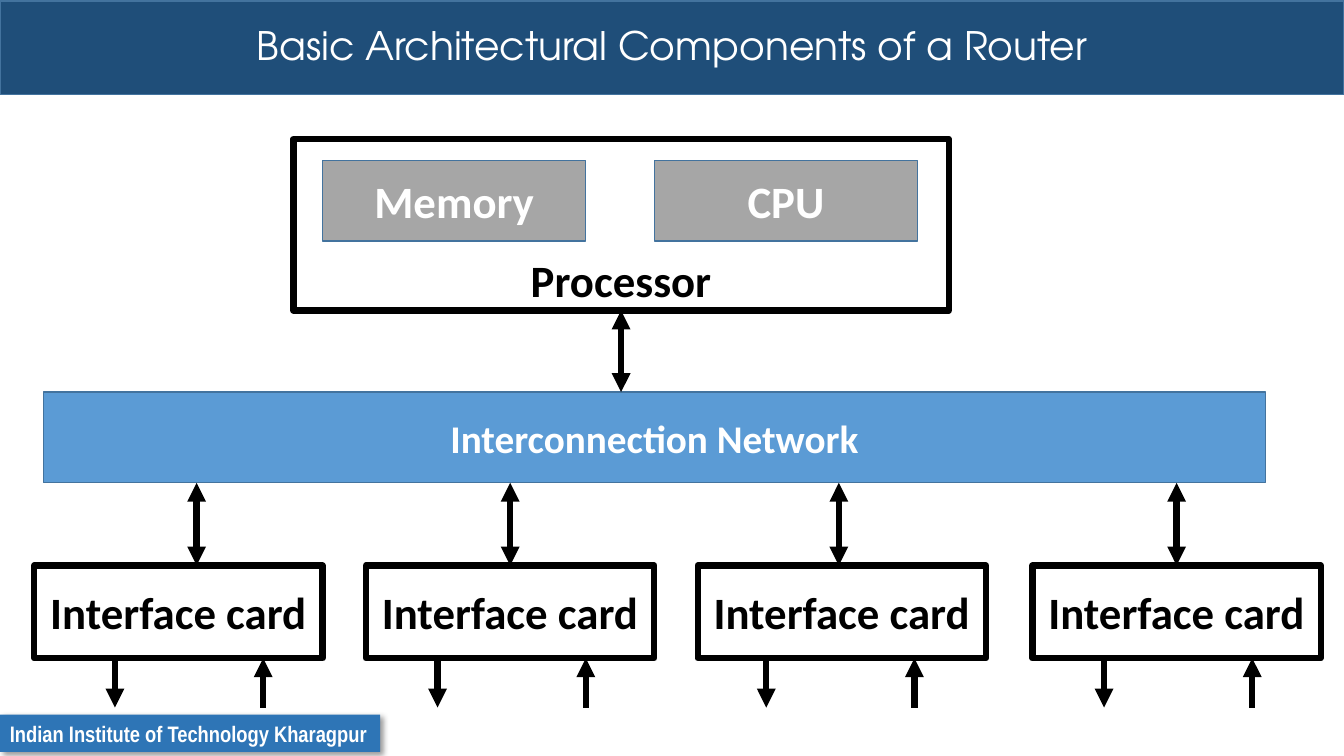
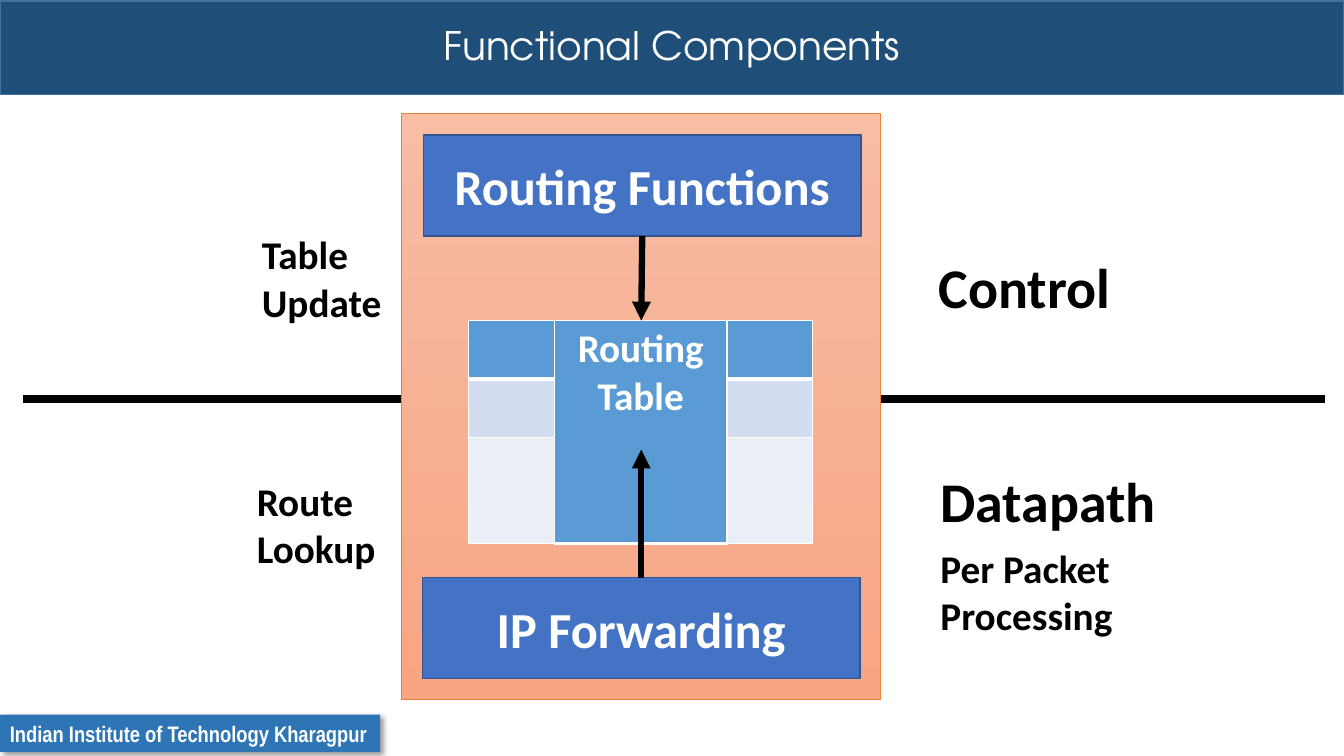
from dataclasses import dataclass
from typing import Optional

from lxml.etree import SubElement
from pptx import Presentation
from pptx.dml.color import RGBColor
from pptx.enum.shapes import MSO_CONNECTOR, MSO_SHAPE
from pptx.enum.text import MSO_ANCHOR, MSO_AUTO_SIZE, PP_ALIGN
from pptx.oxml.ns import qn
from pptx.util import Emu, Pt

SCALE = 9144  # EMU in one px, 100 px to the inch
WIDE, HIGH = 1333, 750


@dataclass(frozen=True)
class Theme:
    white: str = "FFFFFF"
    black: str = "000000"
    band: str = "1F4E79"
    edge: str = "43739E"
    foot: str = "2E75B6"
    grey: str = "A6A6A6"
    blue: str = "5B9BD5"
    pale: str = "D2DEEF"
    faint: str = "EAEFF7"
    deep: str = "4472C4"
    rim: str = "325491"
    warm: tuple = ("F7BDA5", "F8A582")
    orange: str = "ED7D31"
    body: str = "Calibri"
    head: str = "TeX Gyre Adventor"
    thin: str = "Arial Narrow"
    small: int = 16
    mid: int = 28
    large: int = 32
    huge: int = 36
    giant: int = 40
    bold: float = 4.5


T = Theme()


@dataclass(frozen=True)
class Type:
    size: int
    color: str = T.white
    name: str = T.body
    bold: bool = True
    align: PP_ALIGN = PP_ALIGN.CENTER
    space: Optional[float] = None


@dataclass(frozen=True)
class Box:
    x: int
    y: int
    w: int
    h: int
    fill: Optional[str] = None
    edge: Optional[str] = None
    weight: float = 1
    text: str = ""
    type: Optional[Type] = None


@dataclass(frozen=True)
class Label:
    x: int
    y: int
    w: int
    h: int
    text: str
    size: int
    wrap: bool = False


@dataclass(frozen=True)
class Card:
    x: int
    link: int
    out: int


def px(n: int) -> Emu:
    return Emu(n * SCALE)


def rgb(code: str) -> RGBColor:
    return RGBColor.from_string(code)


def write(frame, text: str, kind: Type) -> None:
    """Put the text in the frame, one paragraph a line."""
    frame.text = text
    form = {"size": Pt(kind.size), "name": kind.name, "bold": kind.bold}
    for para in frame.paragraphs:
        para.alignment = kind.align
        if kind.space:
            para.line_spacing = kind.space
        for run in para.runs:
            for key, value in form.items():
                setattr(run.font, key, value)
            run.font.color.rgb = rgb(kind.color)


def block(slide, box: Box):
    """Draw a rectangle, with text if it has any."""
    shape = slide.shapes.add_shape(
        MSO_SHAPE.RECTANGLE, px(box.x), px(box.y), px(box.w), px(box.h))
    shape.shadow.inherit = False
    if box.fill:
        shape.fill.solid()
        shape.fill.fore_color.rgb = rgb(box.fill)
    if box.edge:
        shape.line.color.rgb = rgb(box.edge)
        shape.line.width = Pt(box.weight)
    else:
        shape.line.fill.background()
    if box.type:
        shape.text_frame.vertical_anchor = MSO_ANCHOR.MIDDLE
        write(shape.text_frame, box.text, box.type)
    return shape


def line(slide, start: tuple, end: tuple, ends: tuple = ("tailEnd",),
         weight: float = T.bold):
    """Draw a straight line with arrowheads at the named ends."""
    wire = slide.shapes.add_connector(
        MSO_CONNECTOR.STRAIGHT, *(px(n) for n in start + end))
    wire.line.color.rgb = rgb(T.black)
    wire.line.width = Pt(weight)
    for tag in ends:
        SubElement(wire.line._get_or_add_ln(), qn("a:" + tag), type="triangle")
    SubElement(wire._element.spPr, qn("a:effectLst"))
    return wire


def label(slide, item: Label) -> None:
    box = slide.shapes.add_textbox(
        px(item.x), px(item.y), px(item.w), px(item.h))
    frame = box.text_frame
    frame.word_wrap = item.wrap
    frame.auto_size = MSO_AUTO_SIZE.SHAPE_TO_FIT_TEXT
    write(frame, item.text, Type(item.size, T.black, align=PP_ALIGN.LEFT))


def cast(shape) -> None:
    """Give the shape a soft shadow down to the right."""
    effect = shape._element.spPr.find(qn("a:effectLst"))
    shade = SubElement(effect, qn("a:outerShdw"), blurRad="50800",
                       dist="38100", dir="2700000", algn="tl", rotWithShape="0")
    tint = SubElement(shade, qn("a:srgbClr"), val=T.black)
    SubElement(tint, qn("a:alpha"), val="40000")


def start(deck, title: str):
    """Add a slide with its title band and footer."""
    slide = deck.slides.add_slide(deck.slide_layouts[6])
    block(slide, Box(0, 1, WIDE, 93, T.band, T.edge, 1, title,
                     Type(T.mid, name=T.head, bold=False, space=0.9)))
    foot = block(slide, Box(
        0, 709, 377, 37, T.foot, text="Indian Institute of Technology Kharagpur",
        type=Type(T.small, name=T.thin, align=PP_ALIGN.LEFT)))
    foot.text_frame.word_wrap = False
    cast(foot)
    return slide


def paint(cell, fill: str, base: int) -> None:
    """Set white borders, then the fill, of a table cell."""
    props = cell._tc.get_or_add_tcPr()
    for side, weight in {"L": 1, "R": 1, "T": 1, "B": base}.items():
        edge = SubElement(props, qn("a:ln" + side), w=str(Pt(weight)))
        solid = SubElement(edge, qn("a:solidFill"))
        SubElement(solid, qn("a:srgbClr"), val=T.white)
    cell.fill.solid()
    cell.fill.fore_color.rgb = rgb(fill)


def grid(slide) -> None:
    """Draw the routing table with its merged middle column."""
    wide, high = (85, 171, 85), (58, 58, 105)
    table = slide.shapes.add_table(
        3, 3, px(465), px(318), px(sum(wide)), px(sum(high))).table
    for col, size in zip(table.columns, wide):
        col.width = px(size)
    for row, size in zip(table.rows, high):
        row.height = px(size)
    for r, fill in enumerate((T.blue, T.pale, T.faint)):
        for c in range(3):
            core = c == 1
            paint(table.cell(r, c), T.blue if core else fill,
                  3 if core or r == 0 else 1)
    table.cell(0, 1).merge(table.cell(2, 1))
    write(table.cell(0, 1).text_frame, "Routing Table", Type(T.mid))


def router(deck) -> None:
    slide = start(deck, "Basic Architectural Components of a Router")
    both = ("headEnd", "tailEnd")
    dark = Type(T.large, T.black)

    # Processor and its parts
    core = block(slide, Box(291, 138, 650, 170, T.white, T.black, T.bold,
                            "Processor", dark))
    core.text_frame.vertical_anchor = MSO_ANCHOR.BOTTOM
    core.text_frame.margin_bottom = px(4)
    for x, name in ((320, "Memory"), (649, "CPU")):
        block(slide, Box(x, 159, 261, 80, T.grey, T.edge, 1, name,
                         Type(T.large)))

    # Network
    block(slide, Box(43, 389, 1212, 90, T.blue, T.edge, 1,
                     "Interconnection Network", Type(T.mid)))
    line(slide, (616, 308), (616, 389), both).begin_connect(core, 2)

    # Interface cards with their links
    width, top, base, tip, gap = 286, 561, 653, 702, 147
    cards = (Card(34, 195, 114), Card(363, 506, 434),
             Card(692, 832, 760), Card(1024, 1167, 1095))
    for card in cards:
        shape = block(slide, Box(card.x, top, width, base - top, T.white,
                                 T.black, T.bold, "Interface card", dark))
        wire = line(slide, (card.link, 479), (card.link, top), both)
        if card.link == card.x + width // 2:
            wire.end_connect(shape, 0)
        line(slide, (card.out, base), (card.out, tip))
        line(slide, (card.out + gap, tip), (card.out + gap, base))


def parts(deck) -> None:
    slide = start(deck, "Functional Components")

    # Divider and panel
    line(slide, (23, 396), (1314, 396), (), 6)
    panel = block(slide, Box(398, 112, 475, 582, None, T.orange, 0.5))
    panel.fill.gradient()
    panel.fill.gradient_angle = 270
    for stop, code in zip(panel.fill.gradient_stops, T.warm):
        stop.color.rgb = rgb(code)

    # Functions around the table
    upper, lower = (
        block(slide, Box(x, y, 434, 100, T.deep, T.rim, 1, name, Type(T.huge)))
        for x, y, name in ((420, 134, "Routing Functions"),
                           (419, 573, "IP Forwarding")))
    grid(slide)
    line(slide, (637, 234), (636, 318)).begin_connect(upper, 2)
    line(slide, (636, 573), (636, 446)).begin_connect(lower, 0)

    # Side labels
    for item in (
        Label(250, 224, 140, 104, "Table\nUpdate", T.mid),
        Label(245, 469, 153, 104, "Route Lookup", T.mid, True),
        Label(921, 246, 192, 77, "Control", T.giant),
        Label(923, 458, 236, 77, "Datapath", T.giant),
        Label(923, 535, 220, 104, "Per Packet Processing", T.mid, True),
    ):
        label(slide, item)


def main() -> None:
    deck = Presentation()
    deck.slide_width, deck.slide_height = px(WIDE), px(HIGH)
    router(deck)
    parts(deck)
    deck.save("out.pptx")


if __name__ == "__main__":
    main()
